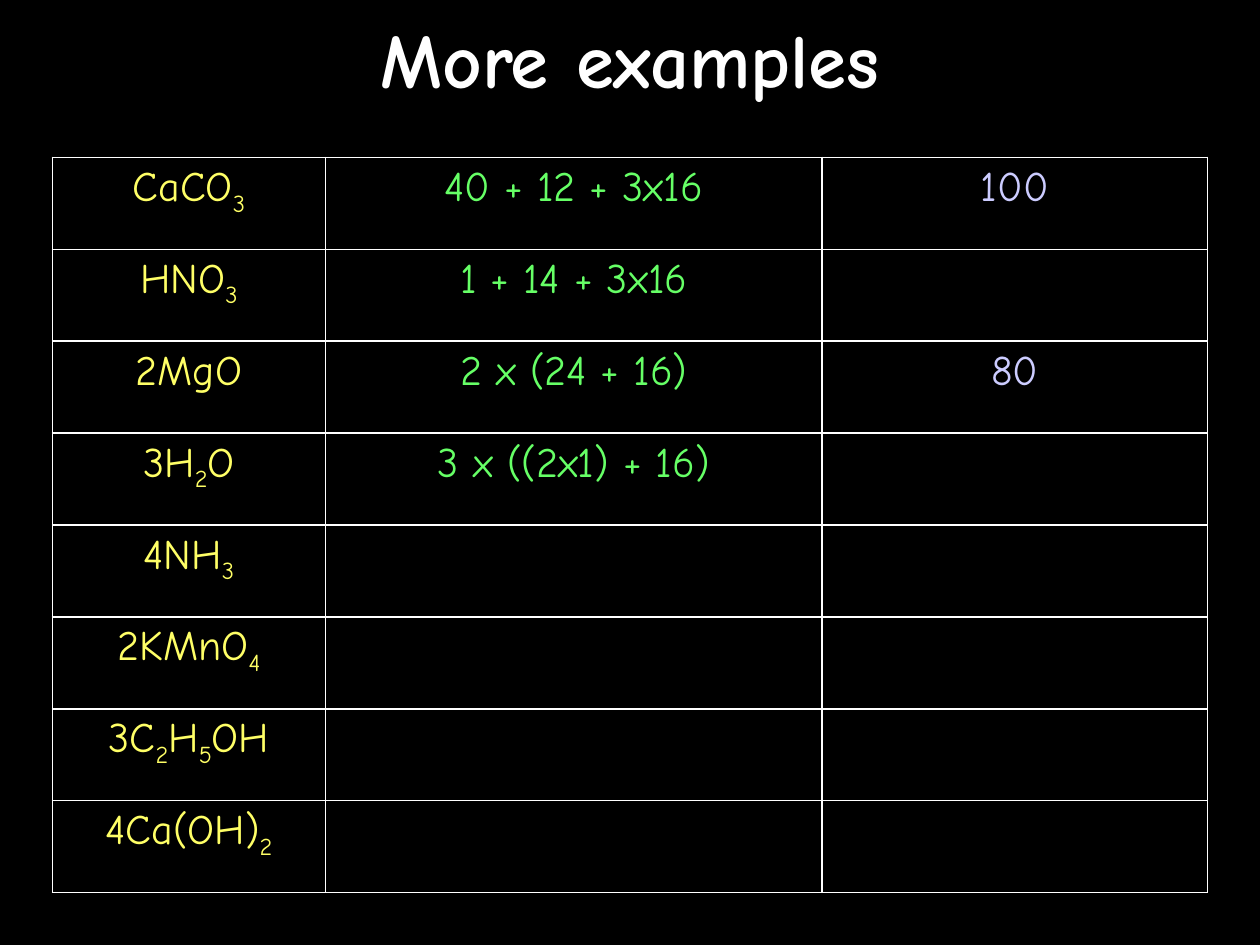
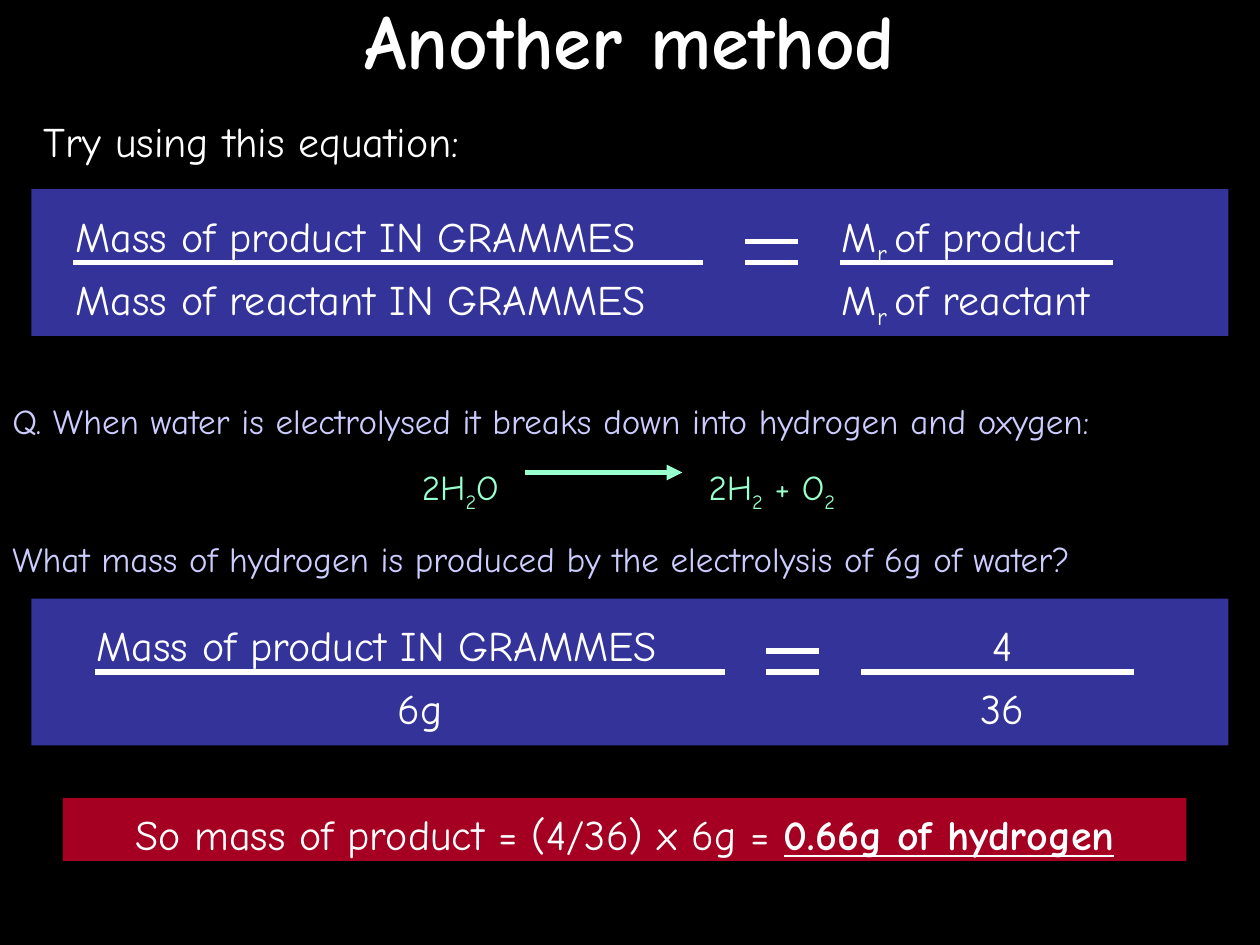
from lxml import etree
from pptx import Presentation
from pptx.dml.color import RGBColor
from pptx.enum.shapes import MSO_CONNECTOR, MSO_SHAPE
from pptx.enum.text import MSO_ANCHOR, PP_ALIGN
from pptx.oxml.ns import qn
from pptx.util import Emu, Pt

PX = 7620
LEFT, CENTER = PP_ALIGN.LEFT, PP_ALIGN.CENTER
TOP, MIDDLE = MSO_ANCHOR.TOP, MSO_ANCHOR.MIDDLE
RECTANGLE = MSO_SHAPE.RECTANGLE
STRAIGHT = MSO_CONNECTOR.STRAIGHT
FONT = "Comic Neue"
COLORS = {
    "black": "000000",
    "white": "FFFFFF",
    "panel": "333399",
    "answer": "A50021",
    "formula": "FFFF66",
    "working": "66FF66",
    "result": "CCCCFF",
    "reaction": "99FFCC",
}

EXAMPLES = [
    ("CaCO~3~", "40 + 12 + 3x16", "100"),
    ("HNO~3~", "1 + 14 + 3x16", ""),
    ("2MgO", "2 x (24 + 16)", "80"),
    ("3H~2~O", "3 x ((2x1) + 16)", ""),
    ("4NH~3~", "", ""),
    ("2KMnO~4~", "", ""),
    ("3C~2~H~5~OH", "", ""),
    ("4Ca(OH)~2~", "", ""),
]


def px(length):
    return Emu(length * PX)


def rgb(name):
    return RGBColor.from_string(COLORS[name])


class Deck:
    def __init__(self):
        self.prs = Presentation()
        self.prs.slide_width, self.prs.slide_height = px(1200), px(900)
        self.slide = None

    def new_slide(self, title, title_height):
        self.slide = self.prs.slides.add_slide(self.prs.slide_layouts[6])
        background = self.slide.background.fill
        background.solid()
        background.fore_color.rgb = rgb("black")
        self.text(0, 0, 1200, title_height, title, size=44, align=CENTER,
                  bold=True, anchor=MIDDLE, inset=6)

    def runs(self, paragraph, text, color="white", size=24, bold=False, underline=False):
        for index, part in enumerate(text.split("~")):
            if not part:
                continue
            run = paragraph.add_run()
            run.text = part
            font = run.font
            font.name, font.size = FONT, Pt(size)
            font.bold, font.underline = bold, underline
            font.color.rgb = rgb(color)
            if index % 2:
                run._r.get_or_add_rPr().set("baseline", "-25000")

    def frame(self, shape, anchor=TOP, inset=10):
        frame = shape.text_frame
        frame.word_wrap = True
        frame.vertical_anchor = anchor
        frame.margin_left = frame.margin_right = px(12)
        frame.margin_top, frame.margin_bottom = px(inset), px(6)
        return frame

    def text(self, x, y, w, h, text, size=24, align=LEFT, bold=False,
             anchor=TOP, inset=10):
        box = self.slide.shapes.add_textbox(px(x), px(y), px(w), px(h))
        paragraph = self.frame(box, anchor, inset).paragraphs[0]
        paragraph.alignment = align
        self.runs(paragraph, text, size=size, bold=bold)

    def rect(self, x, y, w, h, color):
        rect = self.slide.shapes.add_shape(RECTANGLE, px(x), px(y), px(w), px(h))
        rect.shadow.inherit = False
        rect.fill.solid()
        rect.fill.fore_color.rgb = rgb(color)
        rect.line.fill.background()
        return rect

    def line(self, x1, x2, y, color="white", arrow=False):
        line = self.slide.shapes.add_connector(STRAIGHT, px(x1), px(y), px(x2), px(y))
        line.line.width = Pt(3)
        line.line.color.rgb = rgb(color)
        if arrow:
            etree.SubElement(line.line._get_or_add_ln(), qn("a:tailEnd"), type="triangle")
        etree.SubElement(line._element.spPr, qn("a:effectLst"))

    def equation(self, top, shift, left_side, right_side, aligns):
        self.rect(30, top, 1140, 140, "panel")
        bar = top + 70
        for x1, x2, y in ((70, 670, bar), (800, 1060, bar),
                          (710, 760, bar - 20), (710, 760, bar)):
            self.line(x1 + shift, x2 + shift, y)
        terms = zip((60, 60, 790, 790), (640, 640, 290, 290),
                    (top + 10, bar) * 2, left_side + right_side, aligns)
        for x, width, y, term, align in terms:
            self.text(x + shift, y, width, 60, term, align=align)

    def question(self, x, y, w, h, lines, tabs):
        box = self.slide.shapes.add_textbox(px(x), px(y), px(w), px(h))
        frame = self.frame(box)
        for index, (text, color) in enumerate(lines):
            paragraph = frame.add_paragraph() if index else frame.paragraphs[0]
            if index:
                paragraph.space_before = Pt(14)
            if "\t" in text:
                tab_list = etree.SubElement(paragraph._p.get_or_add_pPr(), qn("a:tabLst"))
                for tab in tabs:
                    etree.SubElement(tab_list, qn("a:tab"), pos=str(px(tab)), algn="l")
            self.runs(paragraph, text, color, size=20)

    def table(self, x, y, widths, height, rows, colors):
        table = self.slide.shapes.add_table(
            len(rows), len(widths), px(x), px(y), px(sum(widths)), px(height)).table
        table.first_row = table.horz_banding = False
        for column, width in zip(table.columns, widths):
            column.width = px(width)
        for r, row in enumerate(rows):
            for c, (text, color) in enumerate(zip(row, colors)):
                cell = table.cell(r, c)
                self.borders(cell)
                cell.fill.background()
                cell.margin_left = cell.margin_right = px(12)
                cell.margin_top = cell.margin_bottom = px(6)
                paragraph = cell.text_frame.paragraphs[0]
                paragraph.alignment = CENTER
                self.runs(paragraph, text, color)

    def borders(self, cell):
        properties = cell._tc.get_or_add_tcPr()
        for side in ("lnL", "lnR", "lnT", "lnB"):
            edge = etree.SubElement(properties, qn(f"a:{side}"), w=str(Pt(1.08)))
            fill = etree.SubElement(edge, qn("a:solidFill"))
            etree.SubElement(fill, qn("a:srgbClr"), val=COLORS["white"])


def main():
    deck = Deck()

    deck.new_slide("More examples", 109)
    deck.table(50, 150, (260, 473, 367), 700, EXAMPLES,
               ("formula", "working", "result"))

    deck.new_slide("Another method", 73)
    deck.text(30, 100, 1140, 60, "Try using this equation:")
    deck.equation(180, 0,
                  ("Mass of product IN GRAMMES", "Mass of reactant IN GRAMMES"),
                  ("M~r ~of product", "M~r ~of reactant"), (LEFT,) * 4)
    deck.question(0, 370, 1200, 180, (
        ("Q. When water is electrolysed it breaks down into hydrogen and oxygen:", "result"),
        ("\t2H~2~O\t2H~2~ + O~2~", "reaction"),
        ("What mass of hydrogen is produced by the electrolysis of 6g of water?", "result"),
    ), tabs=(390, 663))
    deck.line(500, 650, 450, "reaction", arrow=True)
    deck.equation(570, 20, ("Mass of product IN GRAMMES", "6g"), ("4", "36"),
                  (LEFT, CENTER, CENTER, CENTER))

    conclusion = deck.frame(deck.rect(60, 760, 1070, 60, "answer")).paragraphs[0]
    conclusion.alignment = CENTER
    deck.runs(conclusion, "So mass of product = (4/36) x 6g = ")
    deck.runs(conclusion, "0.66g of hydrogen", bold=True, underline=True)

    deck.prs.save("out.pptx")


if __name__ == "__main__":
    main()
